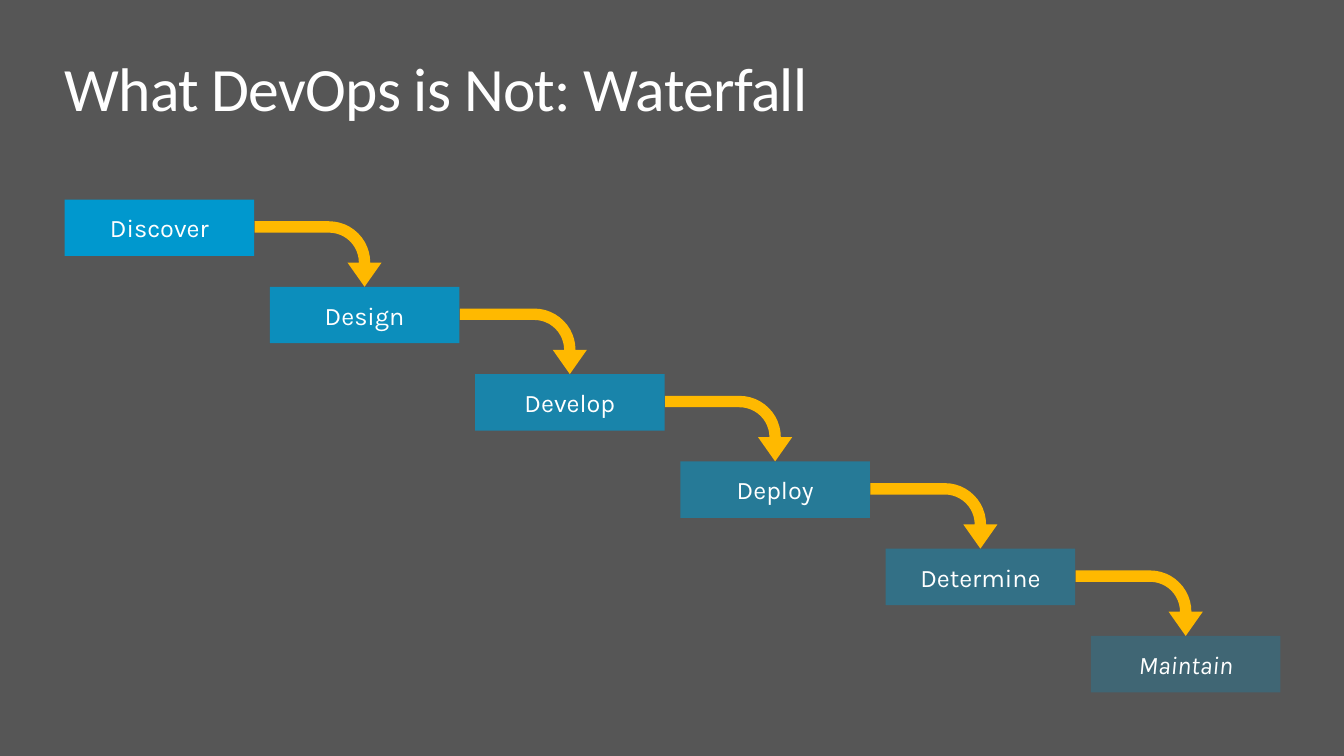
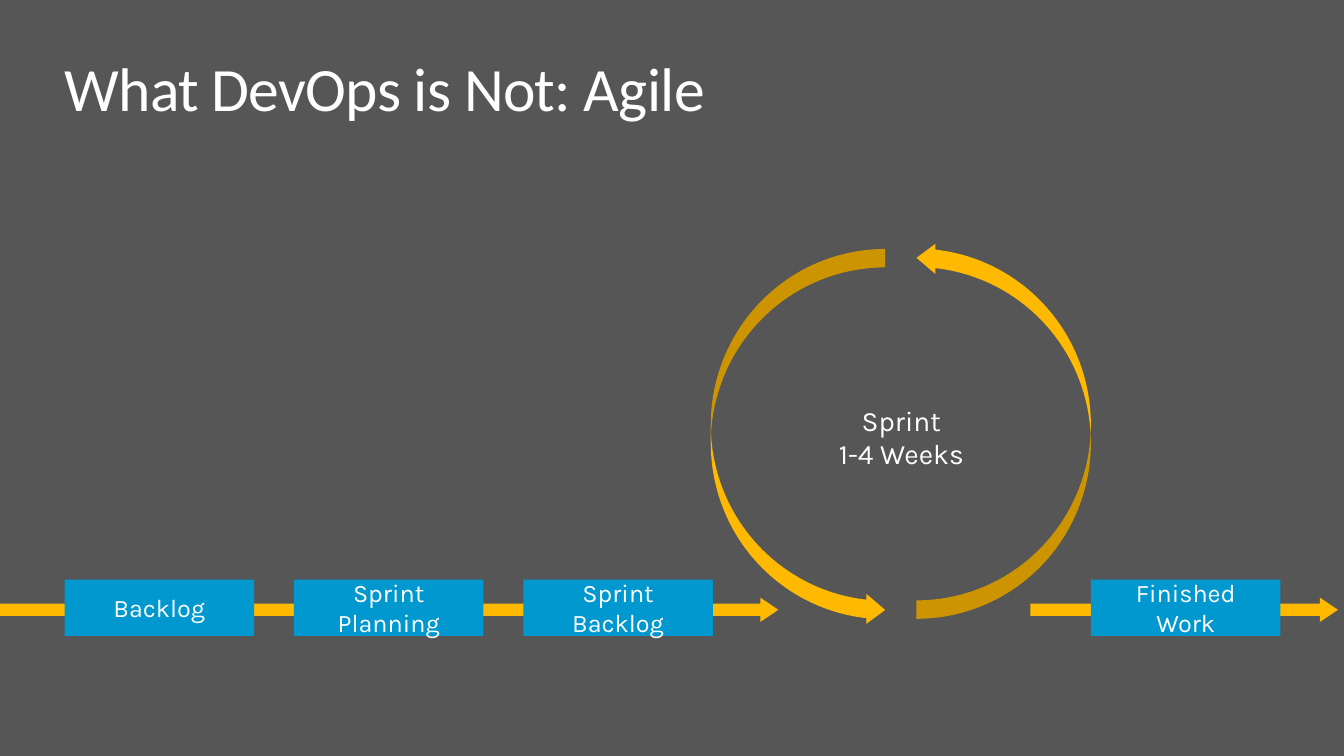
from lxml import etree
from pptx import Presentation
from pptx.dml.color import RGBColor
from pptx.enum.shapes import MSO_SHAPE
from pptx.enum.text import MSO_ANCHOR, PP_ALIGN
from pptx.oxml.ns import qn
from pptx.util import Inches, Pt

RECT = MSO_SHAPE.RECTANGLE
BENT = MSO_SHAPE.BENT_ARROW
RIGHT = MSO_SHAPE.RIGHT_ARROW
CURVED = MSO_SHAPE.CURVED_LEFT_ARROW
MIDDLE = MSO_ANCHOR.MIDDLE
LEFT, CENTER = PP_ALIGN.LEFT, PP_ALIGN.CENTER

GREY = RGBColor(0x56, 0x56, 0x56)
BLUE = RGBColor(0x00, 0x98, 0xCE)
GOLD = RGBColor(0xFF, 0xB9, 0x00)
WHITE = RGBColor(0xFF, 0xFF, 0xFF)

HEAD, BODY = "Calibri", "Karla"
MARGIN = 0.64
BOX_W, BOX_H = 1.88, 0.56
LAST_X = 10.82


def write(frame, lines, size, font=BODY, align=CENTER, inset=(0, 0)):
    frame.word_wrap = True
    frame.margin_left = frame.margin_right = Inches(inset[0])
    frame.margin_top = frame.margin_bottom = Inches(inset[1])
    runs = []
    for i, line in enumerate(lines):
        para = frame.add_paragraph() if i else frame.paragraphs[0]
        para.alignment = align
        run = para.add_run()
        run.text = line
        run.font.size = Pt(size)
        run.font.name = font
        run.font.color.rgb = WHITE
        runs.append(run)
    return runs


def add_text(slide, box, lines, size, **style):
    label = slide.shapes.add_textbox(*map(Inches, box))
    return write(label.text_frame, lines, size, **style)


def add_form(slide, kind, box, color, adjust=()):
    form = slide.shapes.add_shape(kind, *map(Inches, box))
    form.shadow.inherit = False
    form.fill.solid()
    form.fill.fore_color.rgb = color
    form.line.fill.background()
    for i, value in enumerate(adjust):
        form.adjustments[i] = value
    return form


def add_step(slide, left, top, name, alpha=100, italic=False):
    step = add_form(slide, RECT, (left, top, BOX_W, BOX_H), BLUE)
    if alpha < 100:
        color = step.element.spPr.find(qn("a:solidFill"))[0]
        etree.SubElement(color, qn("a:alpha")).set("val", str(alpha * 1000))
    step.text_frame.vertical_anchor = MIDDLE
    run, = write(step.text_frame, [name], 18, inset=(0.2, 0.16))
    if italic:
        run.font.italic = True


def add_bend(slide, left, top):
    bend = add_form(slide, BENT, (left + 2.19, top - 0.09, 0.65, 1.26), GOLD,
                    (0.174, 0.261, 0.37, 0.875))
    bend.rotation = 90


def add_bar(slide, left, top, width):
    add_form(slide, RIGHT, (left, top, width, 0.24), GOLD, (0.5, 0.741))


def add_arc(slide, left, top, flip):
    arc = add_form(slide, CURVED, (left, top, 1.73, 3.73), GOLD,
                   (0.106, 0.172, 0.108))
    arc.element.spPr.find(qn("a:xfrm")).set(flip, "1")


def add_page(deck, title):
    slide = deck.slides.add_slide(deck.slide_layouts[6])
    slide.background.fill.solid()
    slide.background.fill.fore_color.rgb = GREY
    run, = add_text(slide, (MARGIN, 0.5, 12.05, 0.74), [title], 44,
                    font=HEAD, align=LEFT)
    run.font.element.set("spc", "-50") if hasattr(run.font, "element") else \
        run._r.get_or_add_rPr().set("spc", "-50")
    return slide


def add_stairs(slide, left, top, names):
    last = len(names) - 1
    across, down = (LAST_X - left) / last, (6.31 - top) / last
    spots = [(left + i * across, top + i * down) for i in range(len(names))]
    for i, (spot, name) in enumerate(zip(spots, names)):
        add_step(slide, *spot, name, 100 - 15 * i, i == last)
    for spot in spots[:-1]:
        add_bend(slide, *spot)


def add_flow(slide, left, top, names, final):
    add_bar(slide, 10.22, top + 0.18, 3.05)
    add_bar(slide, 0, top + 0.18, 7.72)
    for i, name in enumerate(names):
        add_step(slide, left + i * 2.275, top, name)
    add_step(slide, LAST_X, top, final)


def add_cycle(slide, left, top, lines):
    add_arc(slide, left + 2.04, top, "flipV")
    add_arc(slide, left, top + 0.06, "flipH")
    add_text(slide, (left + 1.13, top + 1.59, 1.52, 0.67), lines, 20)


def main():
    deck = Presentation()
    deck.slide_width, deck.slide_height = Inches(13.33), Inches(7.5)

    fall = add_page(deck, "What DevOps is Not: Waterfall")
    add_stairs(fall, MARGIN, 1.98, ["Discover", "Design", "Develop", "Deploy",
                                    "Determine", "Maintain"])

    agile = add_page(deck, "What DevOps is Not: Agile")
    add_flow(agile, MARGIN, 5.75,
             ["Backlog", "Sprint Planning", "Sprint Backlog"], "Finished Work")
    add_cycle(agile, 7.05, 2.41, ["Sprint", "1-4 Weeks"])

    deck.save("out.pptx")


main()
